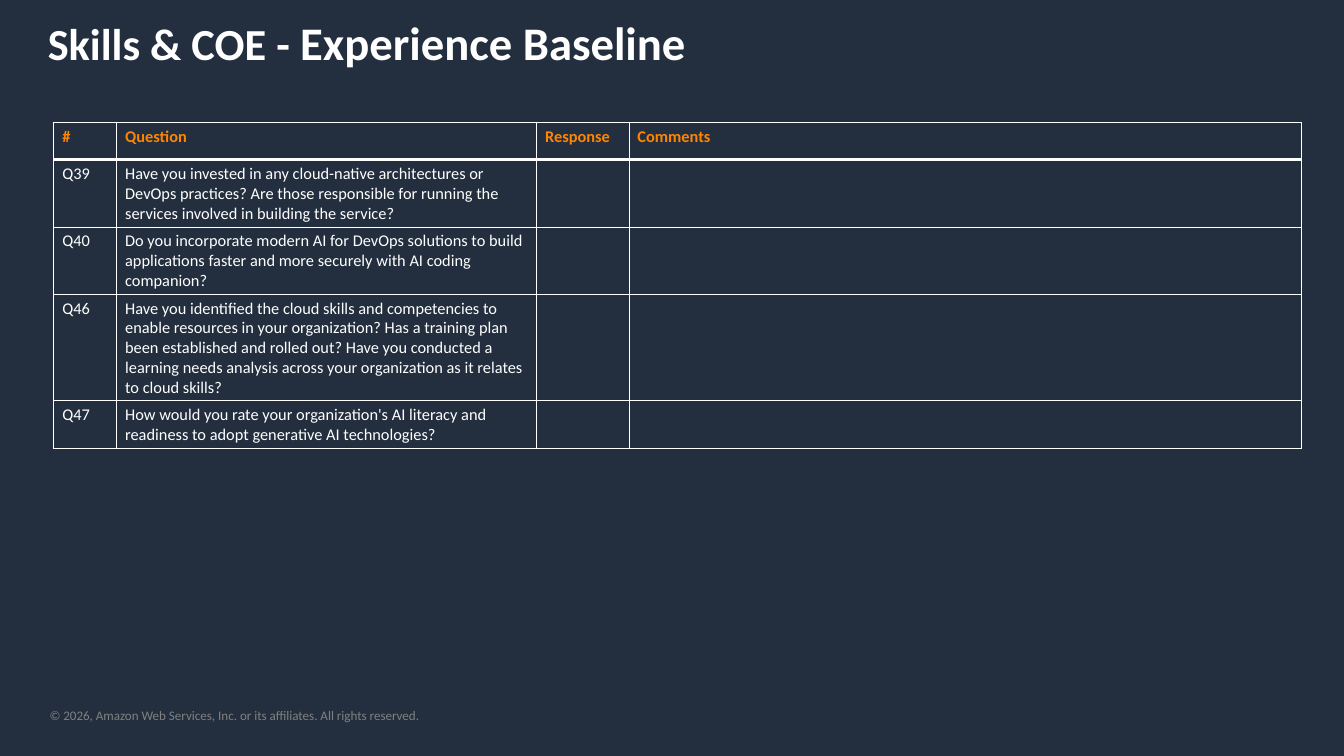
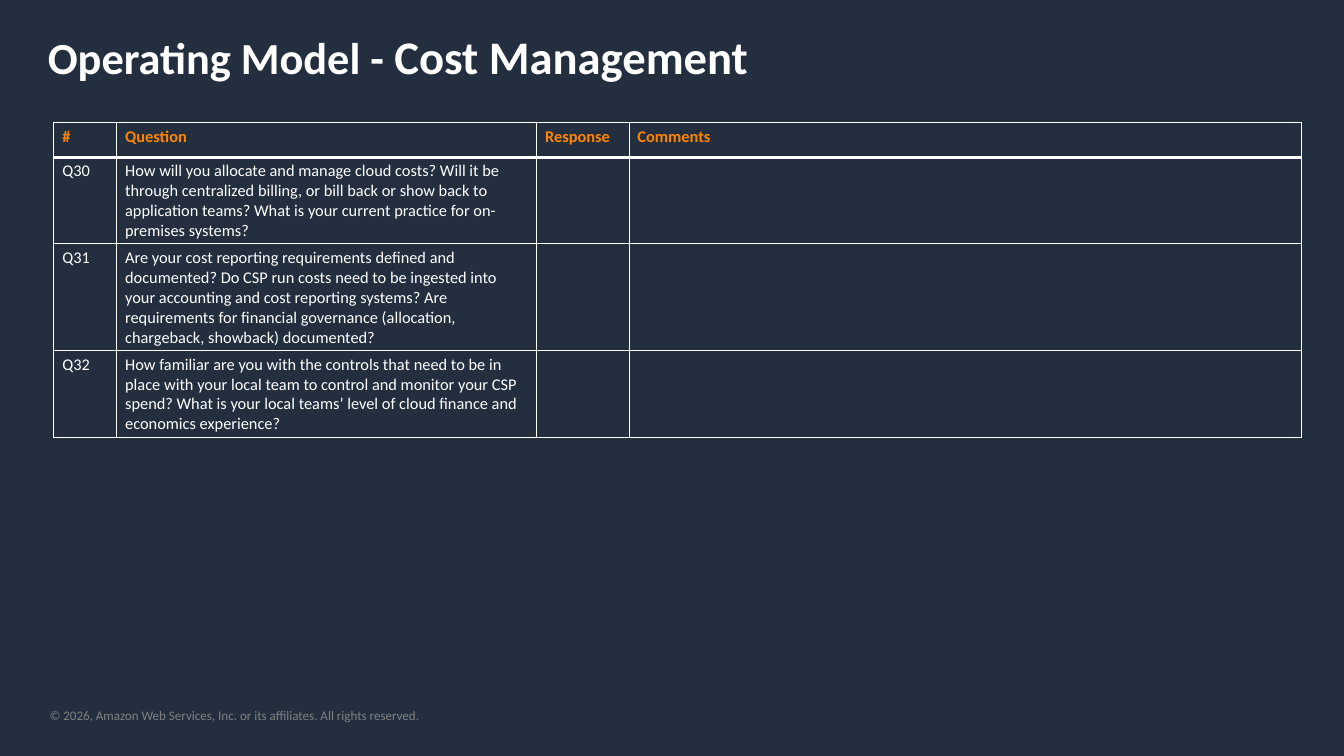
from lxml import etree
from pptx import Presentation
from pptx.dml.color import RGBColor as RGB
from pptx.enum.text import MSO_ANCHOR as ANCHOR, MSO_AUTO_SIZE as AUTO, PP_ALIGN as ALIGN
from pptx.oxml.ns import qn
from pptx.util import Cm, Pt

COLORS = {"bg": "232F3E", "text": "FFFFFF", "accent": "FF8500", "footer": "808080"}
STYLES = {
    "title": {"size": Pt(38), "bold": True},
    "title_end": {"size": Pt(40), "bold": True},
    "header": {"size": Pt(14), "bold": True},
    "body": {"size": Pt(14), "bold": False},
    "footer": {"size": Pt(11.2), "bold": False},
}
FOOTER = "© 2026, Amazon Web Services, Inc. or its affiliates. All rights reserved."
HEADERS = ["#", "Question", "Response", "Comments"]
COL_WIDTHS = [1.9, 12.7, 2.79, 20.32]
SLIDES = [
    {
        "title": ("Skills & COE - ", "Experience Baseline"),
        "title_top": 0.28,
        "row_height": 1.12,
        "questions": [
            ("Q39", "Have you invested in any cloud-native architectures or DevOps practices? "
                    "Are those responsible for running the services involved in building the service?"),
            ("Q40", "Do you incorporate modern AI for DevOps solutions to build applications "
                    "faster and more securely with AI coding companion?"),
            ("Q46", "Have you identified the cloud skills and competencies to enable resources "
                    "in your organization? Has a training plan been established and rolled out? "
                    "Have you conducted a learning needs analysis across your organization "
                    "as it relates to cloud skills?"),
            ("Q47", "How would you rate your organization's AI literacy and readiness to adopt "
                    "generative AI technologies?"),
        ],
    },
    {
        "title": ("Operating Model - ", "Cost Management"),
        "title_top": 0.72,
        "row_height": 1.04,
        "questions": [
            ("Q30", "How will you allocate and manage cloud costs? Will it be through centralized "
                    "billing, or bill back or show back to application teams? What is your "
                    "current practice for on-premises systems?"),
            ("Q31", "Are your cost reporting requirements defined and documented? Do CSP run costs "
                    "need to be ingested into your accounting and cost reporting systems? Are "
                    "requirements for financial governance (allocation, chargeback, showback) "
                    "documented?"),
            ("Q32", "How familiar are you with the controls that need to be in place with your "
                    "local team to control and monitor your CSP spend? What is your local teams’ "
                    "level of cloud finance and economics experience?"),
        ],
    },
]


def add_run(p, text, style, color):
    r = p.add_run()
    r.text = text
    r.font.name = "Calibri"
    r.font.color.rgb = RGB.from_string(COLORS[color])
    for name, value in STYLES[style].items():
        setattr(r.font, name, value)


def set_borders(cell, top, bottom):
    tc_pr = cell._tc.get_or_add_tcPr()
    widths = {"a:lnL": 1, "a:lnR": 1, "a:lnT": top, "a:lnB": bottom}
    for i, (tag, width) in enumerate(widths.items()):
        ln = etree.Element(qn(tag), w=str(Pt(width)))
        fill = etree.SubElement(ln, qn("a:solidFill"))
        etree.SubElement(fill, qn("a:srgbClr"), val=COLORS["text"])
        tc_pr.insert(i, ln)


prs = Presentation()
prs.slide_width, prs.slide_height = Cm(40.64), Cm(22.86)
bg = prs.slide_master.background.fill
bg.solid()
bg.fore_color.rgb = RGB.from_string(COLORS["bg"])

for content in SLIDES:
    s = prs.slides.add_slide(prs.slide_layouts[5])

    footer = s.shapes.add_textbox(Cm(1.5), Cm(21.39), Cm(19.76), Cm(0.48))
    tf = footer.text_frame
    tf.word_wrap = True
    for side in ("left", "top", "right", "bottom"):
        setattr(tf, f"margin_{side}", 0)
    add_run(tf.paragraphs[0], FOOTER, "footer", "footer")

    title = s.shapes.title
    title.left, title.top = Cm(1.19), Cm(content["title_top"])
    title.width, title.height = Cm(38.76), Cm(1.96)
    tf = title.text_frame
    tf.auto_size = AUTO.NONE
    tf.vertical_anchor = ANCHOR.TOP
    p = tf.paragraphs[0]
    p.alignment = ALIGN.LEFT
    for text, style in zip(content["title"], ("title", "title_end")):
        add_run(p, text, style, "text")

    rows = [HEADERS] + [(number, question, "", "") for number, question in content["questions"]]
    height = Cm(content["row_height"])
    table = s.shapes.add_table(len(rows), len(HEADERS), Cm(1.63), Cm(3.71),
                               Cm(sum(COL_WIDTHS)), height * len(rows)).table
    table.first_row = table.horz_banding = False
    for col, width in zip(table.columns, COL_WIDTHS):
        col.width = Cm(width)
    for i, values in enumerate(rows):
        table.rows[i].height = height
        style, color = ("header", "accent") if i == 0 else ("body", "text")
        for j, text in enumerate(values):
            cell = table.cell(i, j)
            cell.fill.background()
            set_borders(cell, top=3 if i == 1 else 1, bottom=3 if i == 0 else 1)
            if text:
                add_run(cell.text_frame.paragraphs[0], text, style, color)

prs.save("out.pptx")
